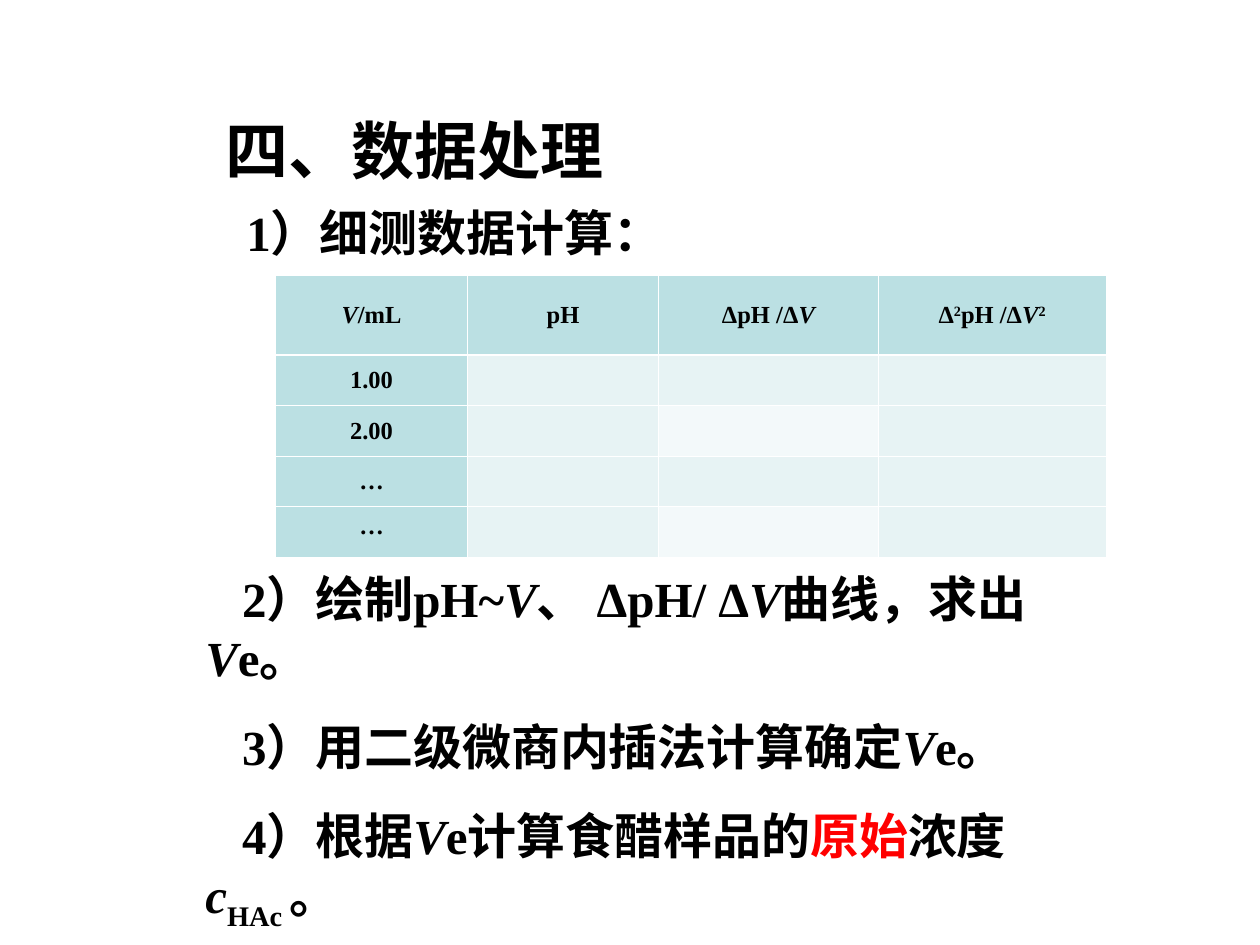
"""Build the data processing slide with its titration table."""
from pptx import Presentation
from pptx.dml.color import RGBColor
from pptx.enum import text
from pptx.oxml import parse_xml
from pptx.oxml.ns import nsdecls
from pptx.util import Cm, Pt

BLACK = RGBColor(0, 0, 0)
RED = RGBColor(0xFF, 0, 0)
TEAL = RGBColor(0xBB, 0xE0, 0xE3)
PALE = RGBColor(0xE7, 0xF3, 0xF4)
PALEST = RGBColor(0xF3, 0xF9, 0xFA)
BASELINES = {"sub": "-25000", "sup": "30000"}


def write(p, pieces, size):
    for wording, style in pieces:
        r = p.add_run()
        r.text = wording
        r.font.name = "Times New Roman"
        r.font.size = Pt(size)
        r.font.bold = True
        r.font.italic = style == "i"
        r.font.color.rgb = RED if style == "red" else BLACK
        if style in BASELINES:
            r.font._element.set("baseline", BASELINES[style])


def add_border(cell, side, width):
    cell._tc.get_or_add_tcPr().append(parse_xml(
        f'<a:{side} {nsdecls("a")} w="{Pt(width)}"><a:solidFill>'
        f'<a:srgbClr val="FFFFFF"/></a:solidFill></a:{side}>'))


prs = Presentation()
prs.slide_width, prs.slide_height = Cm(25.4), Cm(19.05)
s = prs.slides.add_slide(prs.slide_layouts[5])

title = s.shapes.title
title.left, title.top, title.width, title.height = Cm(4.29), Cm(2.13), Cm(19.25), Cm(1.9)
tf = title.text_frame
tf.auto_size = text.MSO_AUTO_SIZE.NONE
tf.vertical_anchor = text.MSO_ANCHOR.TOP
tf.paragraphs[0].alignment = text.PP_ALIGN.LEFT
write(tf.paragraphs[0], [("四、数据处理", "")], 36)

sp = s.shapes.add_textbox(Cm(4.72), Cm(3.96), Cm(9.12), Cm(1.45))
write(sp.text_frame.paragraphs[0], [("1）细测数据计算：", "")], 28)

steps = [
    [("2）绘制pH~", ""), ("V", "i"), ("、 ΔpH/ Δ", ""), ("V", "i"),
     ("曲线，求出", ""), ("V", "i"), ("e。", "")],
    [("3）用二级微商内插法计算确定", ""), ("V", "i"), ("e。", "")],
    [("4）根据", ""), ("V", "i"), ("e计算食醋样品的", ""), ("原始", "red"),
     ("浓度", ""), ("c", "i"), ("HAc ", "sub"), ("。", "")],
]
sp = s.shapes.add_textbox(Cm(3.89), Cm(11.33), Cm(18.39), Cm(9.4))
tf = sp.text_frame
tf.word_wrap = True
for i, pieces in enumerate(steps):
    p = tf.add_paragraph() if i else tf.paragraphs[0]
    p._p.get_or_add_pPr().set("indent", str(Cm(0.74)))
    if i:
        p.space_before = Pt(17.5)
    write(p, pieces, 28)

headers = [
    [("V", "i"), ("/mL", "")],
    [("pH", "")],
    [("ΔpH /Δ", ""), ("V", "i")],
    [("Δ", ""), ("2", "sup"), ("pH /Δ", ""), ("V", "i"), ("2", "sup")],
]
volumes = ["1.00", "2.00", "…", "…"]
rows = [headers] + [[[(v, "")]] + [[("", "")]] * 3 for v in volumes]
table = s.shapes.add_table(5, 4, Cm(5.56), Cm(5.56), Cm(16.74), Cm(5.56)).table
for column, width in zip(table.columns, (3.86, 3.86, 4.42, 4.6)):
    column.width = Cm(width)
for i, row in enumerate(rows):
    table.rows[i].height = Cm(0.99 if i else 1.6)
    for j, pieces in enumerate(row):
        cell = table.cell(i, j)
        cell.margin_left = cell.margin_right = Cm(0.2)
        cell.vertical_anchor = text.MSO_ANCHOR.TOP if i == 4 else text.MSO_ANCHOR.MIDDLE
        add_border(cell, "lnL", 0.45)
        add_border(cell, "lnR", 0.45)
        add_border(cell, "lnT", 1.47 if i == 1 else 0.45)
        add_border(cell, "lnB", 1.47 if i == 0 else 0.45)
        cell.fill.solid()
        if i == 0 or j == 0:
            cell.fill.fore_color.rgb = TEAL
        else:
            cell.fill.fore_color.rgb = PALEST if j == 2 and i % 2 == 0 else PALE
        p = cell.text_frame.paragraphs[0]
        p.alignment = text.PP_ALIGN.CENTER
        write(p, pieces, 14)

prs.save("out.pptx")
